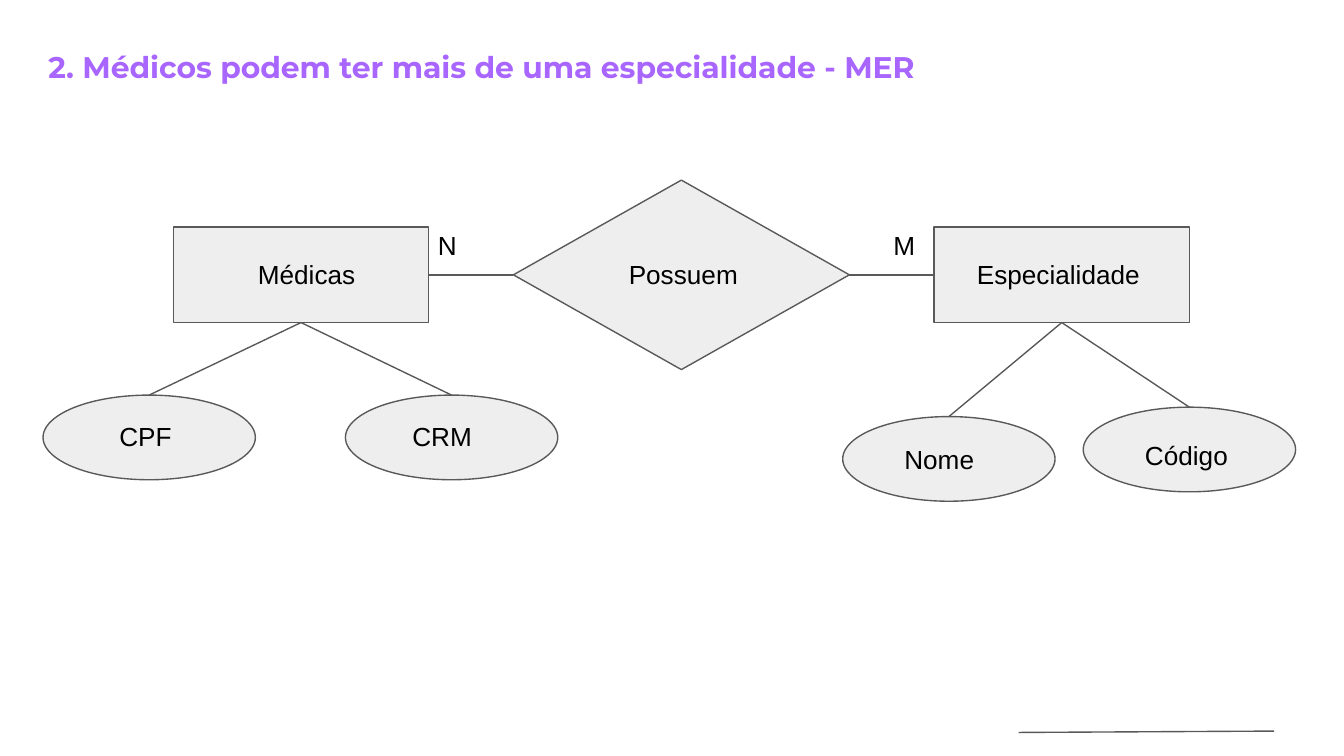
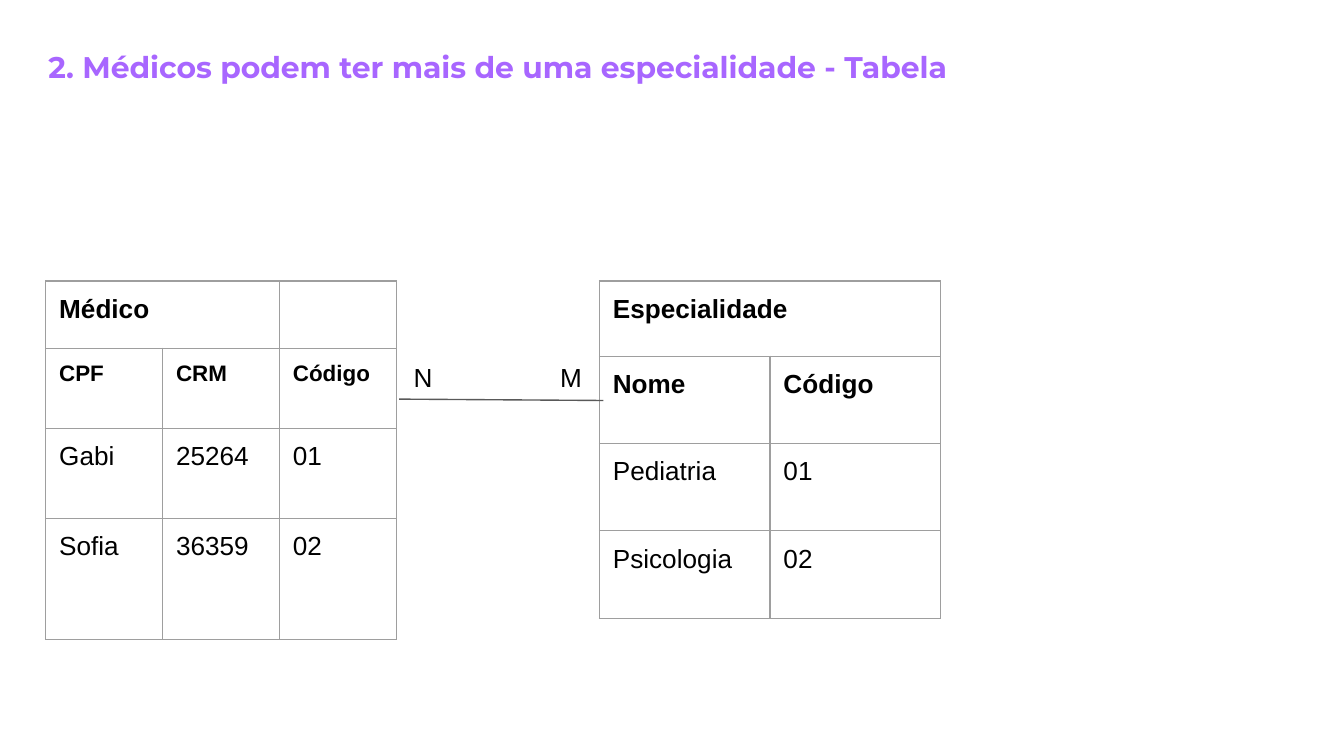
from lxml import etree
from pptx import Presentation
from pptx.dml.color import RGBColor
from pptx.enum.shapes import MSO_CONNECTOR, MSO_SHAPE
from pptx.enum.text import MSO_ANCHOR, MSO_AUTO_SIZE, PP_ALIGN
from pptx.oxml.ns import qn
from pptx.util import Inches, Pt

STRAIGHT = MSO_CONNECTOR.STRAIGHT
RECTANGLE, DIAMOND, ELLIPSE = MSO_SHAPE.RECTANGLE, MSO_SHAPE.DIAMOND, MSO_SHAPE.OVAL
TOP, LEFT, BOTTOM, RIGHT = range(4)  # connection sites

WIDTH, HEIGHT = 10, 5.625
PURPLE, BLACK, GREY_FILL, GREY_LINE, GREY_BORDER = "A866FF", "000000", "EEEEEE", "595959", "9E9E9E"
LINE_WIDTH = 0.75
MARGIN = 0.1
LABEL_HEIGHT = 0.44
TITLE_BOX = (0.26, 0.26, 8.64, 0.47)
TITLE = "2. Médicos podem ter mais de uma especialidade - "

SIZES = {RECTANGLE: (1.9, 0.71), DIAMOND: (2.5, 1.41), ELLIPSE: (1.58, 0.63)}

# name: (outline, left, top, label left, label top, label width)
NODES = {
    "Possuem": (DIAMOND, 3.82, 1.34, 4.58, 1.82, 1.19),
    "Especialidade": (RECTANGLE, 6.95, 1.69, 7.17, 1.82, 1.46),
    "Médicas": (RECTANGLE, 1.29, 1.69, 1.82, 1.82, 1.09),
    "Nome": (ELLIPSE, 6.27, 3.1, 6.63, 3.2, 0.85),
    "Código": (ELLIPSE, 8.06, 3.03, 8.42, 3.17, 0.85),
    "CRM": (ELLIPSE, 2.57, 2.94, 2.97, 3.03, 0.77),
    "CPF": (ELLIPSE, 0.32, 2.94, 0.79, 3.03, 0.63),
}
RELATIONS = [("Médicas", "Possuem"), ("Possuem", "Especialidade")]
ATTRIBUTES = {"Médicas": ["CPF", "CRM"], "Especialidade": ["Nome", "Código"]}
DIAGRAM_CARDINALITIES = [("N", 3.16, 1.61), ("M", 6.55, 1.61)]
LOOSE_LINE = (7.58, 5.45, 9.48, 5.44)

TABLES = [
    {
        "left": 0.34, "column_width": 0.87, "heights": [0.43, 0.6, 0.67, 0.9], "header_size": 12,
        "rows": [["Médico", "", ""], ["CPF", "CRM", "Código"],
                 ["Gabi", "25264", "01"], ["Sofia", "36359", "02"]],
    },
    {
        "left": 4.46, "column_width": 1.27, "heights": [0.56, 0.65, 0.65, 0.65], "header_size": 14,
        "rows": [["Especialidade", ""], ["Nome", "Código"],
                 ["Pediatria", "01"], ["Psicologia", "02"]],
    },
]
TABLE_TOP = 2.09
TABLE_CARDINALITIES = [("N", 2.98, 2.59), ("M", 4.07, 2.59)]
TABLE_LINK = (2.97, 2.97, 4.49, 2.98)


def color(value):
    return RGBColor.from_string(value)


def inches(*values):
    return [Inches(value) for value in values]


def write(frame, text, size=14, font="Arial", fill=BLACK, bold=False):
    paragraph = frame.paragraphs[0]
    paragraph.alignment = PP_ALIGN.LEFT
    run = paragraph.add_run()
    run.text = text
    run.font.size, run.font.name, run.font.bold = Pt(size), font, bold
    run.font.color.rgb = color(fill)


def set_margins(target):
    """Give a text frame or a table cell the same margin on all sides."""
    target.margin_left = target.margin_right = Inches(MARGIN)
    target.margin_top = target.margin_bottom = Inches(MARGIN)


def set_line(line):
    line.color.rgb = color(GREY_LINE)
    line.width = Pt(LINE_WIDTH)


def prepare_frame(frame):
    set_margins(frame)
    frame.word_wrap = True
    frame.vertical_anchor = MSO_ANCHOR.TOP
    frame.auto_size = MSO_AUTO_SIZE.SHAPE_TO_FIT_TEXT


def add_titled_slide(presentation, ending):
    slide = presentation.slides.add_slide(presentation.slide_layouts[5])
    title = slide.shapes.title
    title.left, title.top, title.width, title.height = inches(*TITLE_BOX)
    prepare_frame(title.text_frame)
    write(title.text_frame, TITLE + ending, size=16, font="Montserrat", fill=PURPLE, bold=True)
    return slide


def add_label(slide, text, left, top, width=0.4):
    box = slide.shapes.add_textbox(*inches(left, top, width, LABEL_HEIGHT))
    prepare_frame(box.text_frame)
    write(box.text_frame, text)


def add_line(slide, x1=0, y1=0, x2=0, y2=0):
    line = slide.shapes.add_connector(STRAIGHT, *inches(x1, y1, x2, y2))
    set_line(line.line)
    etree.SubElement(line._element.spPr, qn("a:effectLst"))
    return line


def join(slide, start, start_site, end, end_site):
    line = add_line(slide)
    line.begin_connect(start, start_site)
    line.end_connect(end, end_site)


def add_node(slide, outline, left, top):
    node = slide.shapes.add_shape(outline, *inches(left, top, *SIZES[outline]))
    node.shadow.inherit = False
    node.fill.solid()
    node.fill.fore_color.rgb = color(GREY_FILL)
    set_line(node.line)
    return node


def set_borders(cell):
    properties = cell._tc.get_or_add_tcPr()
    for side in ("lnL", "lnR", "lnT", "lnB"):
        border = etree.SubElement(properties, qn(f"a:{side}"), w=str(Pt(LINE_WIDTH)))
        fill = etree.SubElement(border, qn("a:solidFill"))
        etree.SubElement(fill, qn("a:srgbClr"), val=GREY_BORDER)


def add_table(slide, left, column_width, heights, header_size, rows):
    column_count = len(rows[0])
    frame = slide.shapes.add_table(len(rows), column_count, *inches(
        left, TABLE_TOP, column_width * column_count, sum(heights)))
    table = frame.table
    table.first_row = table.horz_banding = False
    for column in table.columns:
        column.width = Inches(column_width)
    for row, height in zip(table.rows, heights):
        row.height = Inches(height)
    table.cell(0, 0).merge(table.cell(0, 1))
    for row_index, texts in enumerate(rows):
        size = header_size if row_index == 1 else 14
        for column_index, text in enumerate(texts):
            cell = table.cell(row_index, column_index)
            set_margins(cell)
            set_borders(cell)
            cell.fill.background()
            if text:
                write(cell.text_frame, text, size=size, bold=row_index < 2)


def build_diagram(presentation):
    slide = add_titled_slide(presentation, "MER")
    add_line(slide, *LOOSE_LINE)
    nodes = {name: add_node(slide, *place[:3]) for name, place in NODES.items()}
    for start, end in RELATIONS:
        join(slide, nodes[start], RIGHT, nodes[end], LEFT)
    for entity, attributes in ATTRIBUTES.items():
        for attribute in attributes:
            join(slide, nodes[entity], BOTTOM, nodes[attribute], TOP)
    for name, place in NODES.items():
        add_label(slide, name, *place[3:])
    for cardinality in DIAGRAM_CARDINALITIES:
        add_label(slide, *cardinality)


def build_tables(presentation):
    slide = add_titled_slide(presentation, "Tabela")
    for cardinality in TABLE_CARDINALITIES:
        add_label(slide, *cardinality)
    for table in TABLES:
        add_table(slide, **table)
    add_line(slide, *TABLE_LINK)


def main():
    presentation = Presentation()
    presentation.slide_width, presentation.slide_height = inches(WIDTH, HEIGHT)
    build_diagram(presentation)
    build_tables(presentation)
    presentation.save("out.pptx")


if __name__ == "__main__":
    main()
